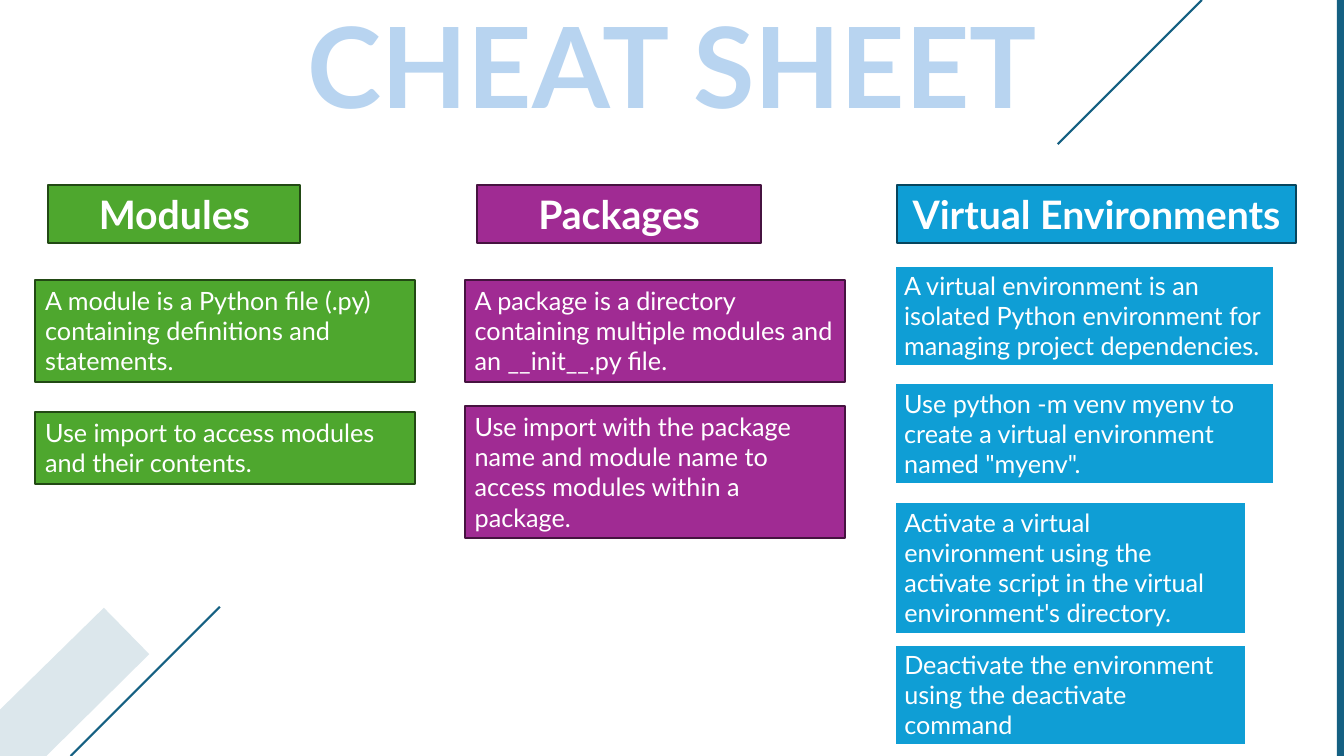
from lxml.etree import SubElement
from pptx import Presentation
from pptx.dml.color import RGBColor
from pptx.enum.shapes import MSO_CONNECTOR, MSO_SHAPE
from pptx.enum.text import MSO_ANCHOR, MSO_AUTO_SIZE, PP_ALIGN
from pptx.oxml.ns import qn
from pptx.util import Inches, Pt

FONT = "Lato"
COLORS = {
    "teal": "156082",
    "title": "B8D4F0",
    "white": "FFFFFF",
    "green": "4EA72E",
    "dark green": "224914",
    "purple": "A02B93",
    "dark purple": "461340",
    "blue": "0F9ED5",
    "dark blue": "07455D",
}

# Each card: top, width, height, text
COLUMNS = [
    {
        "heading": ("Modules", 0.48, 2.5),
        "fill": "green", "heading line": "dark green",
        "card line": ("dark green", 1.5), "card left": 0.35,
        "cards": [
            (2.78, 3.77, 1.01, "A module is a Python file (.py) containing definitions and statements."),
            (4.09, 3.77, 0.71, "Use import to access modules and their contents."),
        ],
    },
    {
        "heading": ("Packages", 4.73, 2.82),
        "fill": "purple", "heading line": "dark purple",
        "card line": ("dark purple", 1.5), "card left": 4.61,
        "cards": [
            (2.78, 3.77, 1.01, "A package is a directory containing multiple modules and an __init__.py file."),
            (4.03, 3.77, 1.31, "Use import with the package name and module name to access modules within a package."),
        ],
    },
    {
        "heading": ("Virtual Environments", 8.9, 3.95),
        "fill": "blue", "heading line": "dark blue",
        "card line": ("white", 2), "card left": 8.87,
        "cards": [
            (2.63, 3.77, 1.01, "A virtual environment is an isolated Python environment for managing project dependencies."),
            (3.8, 3.77, 1.01, 'Use python -m venv myenv to create a virtual environment named "myenv".'),
            (4.98, 3.49, 1.31, "Activate a virtual environment using the activate script in the virtual environment's directory."),
            (6.39, 3.49, 1.01, "Deactivate the environment using the deactivate command"),
        ],
    },
]


def color(name):
    return RGBColor.from_string(COLORS[name])


def paint(shape, fill, line=None):
    shape.shadow.inherit = False
    shape.fill.solid()
    shape.fill.fore_color.rgb = color(fill)
    if line is None:
        shape.line.fill.background()
    else:
        name, width = line
        shape.line.color.rgb = color(name)
        shape.line.width = Pt(width)


def write(shape, text, size, text_color="white", bold=False, align=PP_ALIGN.LEFT):
    frame = shape.text_frame
    frame.text = text
    frame.word_wrap = True
    frame.auto_size = MSO_AUTO_SIZE.SHAPE_TO_FIT_TEXT
    paragraph = frame.paragraphs[0]
    paragraph.alignment = align
    font = paragraph.runs[0].font
    font.name, font.size, font.bold = FONT, Pt(size), bold
    font.color.rgb = color(text_color)


def add_box(slide, left, top, width, height, fill, line=None):
    shape = slide.shapes.add_shape(
        MSO_SHAPE.RECTANGLE, Inches(left), Inches(top), Inches(width), Inches(height))
    paint(shape, fill, line)
    shape.text_frame.vertical_anchor = MSO_ANCHOR.TOP
    return shape


def add_line(slide, *ends):
    line = slide.shapes.add_connector(
        MSO_CONNECTOR.STRAIGHT, *(Inches(value) for value in ends))
    line.line.color.rgb = color("teal")
    line.line.width = Pt(1.5)
    SubElement(line._element.spPr, qn("a:effectLst"))


def add_band(slide, points, opacity):
    corners = [(Inches(x), Inches(y)) for x, y in points]
    builder = slide.shapes.build_freeform(*corners[0])
    builder.add_line_segments(corners[1:], close=True)
    band = builder.convert_to_shape()
    paint(band, "teal")
    fill_color = band._element.spPr.find(qn("a:solidFill"))[0]
    SubElement(fill_color, qn("a:alpha"), val=str(opacity * 1000))


def add_title(slide, text):
    title = slide.shapes.add_textbox(Inches(-0.77), Inches(-0.08), Inches(14.88), Inches(1.45))
    write(title, text, 80, "title", bold=True, align=PP_ALIGN.CENTER)


def add_column(slide, column):
    text, left, width = column["heading"]
    heading = add_box(slide, left, 1.84, width, 0.57, column["fill"], (column["heading line"], 1.5))
    write(heading, text, 28, bold=True, align=PP_ALIGN.CENTER)
    for top, width, height, text in column["cards"]:
        card = add_box(slide, column["card left"], top, width, height,
                       column["fill"], column["card line"])
        write(card, text, 18)


def main():
    presentation = Presentation()
    presentation.slide_width, presentation.slide_height = Inches(13.33), Inches(7.5)
    slide = presentation.slides.add_slide(presentation.slide_layouts[6])

    # Corner decoration
    add_box(slide, 13.26, 0, 0.09, 7.5, "teal")
    add_line(slide, 11.92, 0, 10.49, 1.43)
    add_line(slide, 2.18, 6.02, 0.7, 7.5)
    add_band(slide, [(-0.01, 7.05), (-0.01, 7.5), (0.46, 7.5), (1.48, 6.49), (1.03, 6.03)], 15)

    # Title and topic columns
    add_title(slide, "CHEAT SHEET")
    for column in COLUMNS:
        add_column(slide, column)

    presentation.save("out.pptx")


if __name__ == "__main__":
    main()
